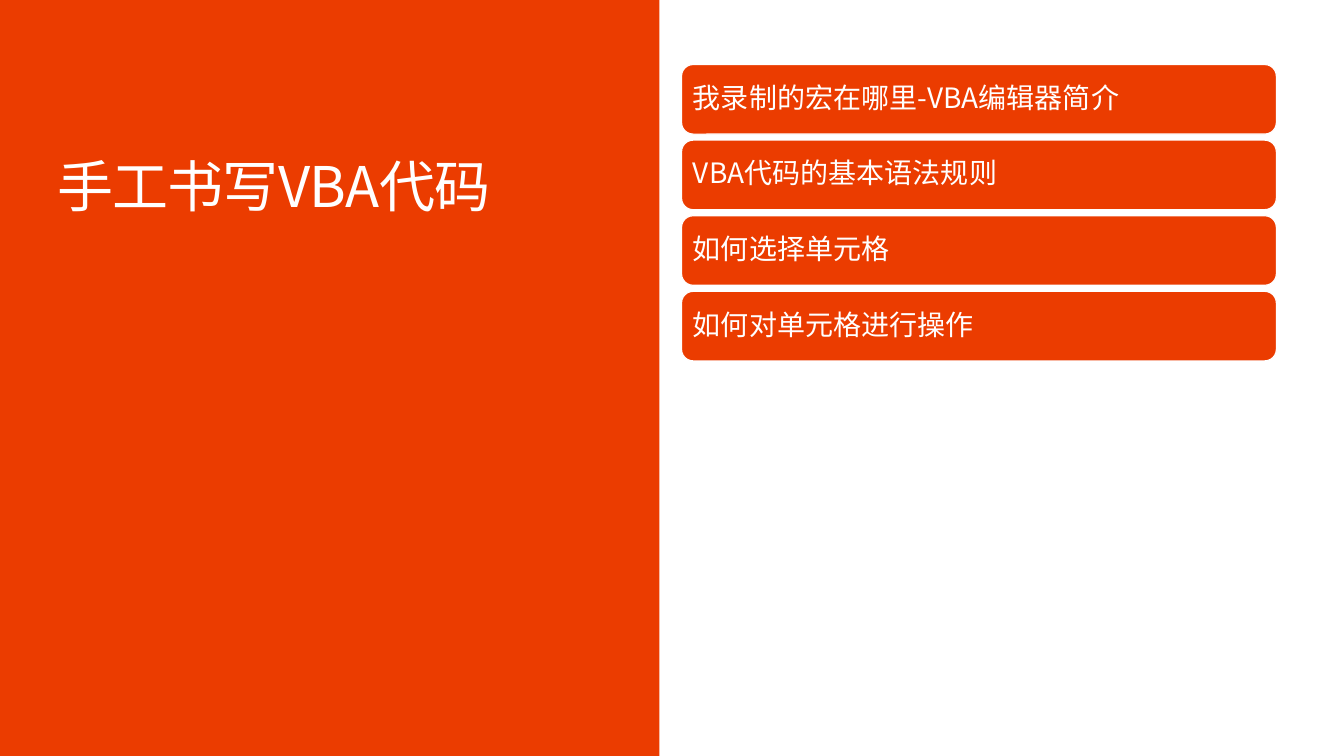
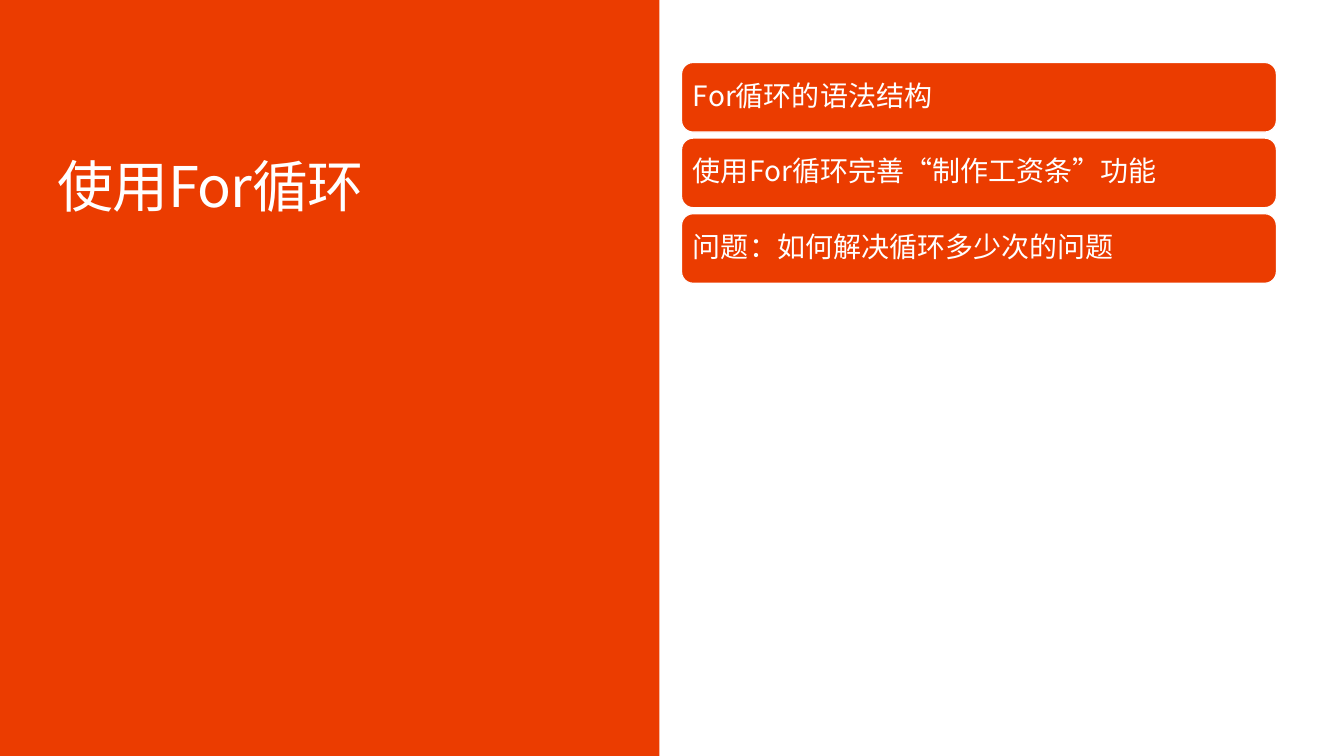
import pptx
import pptx.util
import pptx.dml.color
import pptx.enum.lang
import pptx.enum.shapes
import pptx.enum.text
import pptx.oxml.ns
from dataclasses import dataclass
from lxml import etree

Inches, Pt = pptx.util.Inches, pptx.util.Pt
RGB = pptx.dml.color.RGBColor.from_string
SHAPE = pptx.enum.shapes.MSO_SHAPE
ANCHOR = pptx.enum.text.MSO_ANCHOR

# Content: title, top of the first bar, bar texts
SLIDES = [
    ("手工书写VBA代码", 0.64, [
        "我录制的宏在哪里-VBA编辑器简介",
        "VBA代码的基本语法规则",
        "如何选择单元格",
        "如何对单元格进行操作",
    ]),
    ("使用For循环", 0.62, [
        "For循环的语法结构",
        "使用For循环完善“制作工资条”功能",
        "问题：如何解决循环多少次的问题",
    ]),
]


@dataclass(frozen=True)
class Theme:
    accent: str = "EB3C00"
    white: str = "FFFFFF"
    font: str = "Noto Sans CJK SC"
    title_size: int = 40
    bar_size: int = 20
    line_width: float = 0.85


THEME = Theme()

# Layout in inches
PANEL = (-0.01, 0, 6.55, 7.5)
TITLE = (0.57, 1.58, 5.72, 1.82)
BAR_LEFT, BAR_WIDTH, BAR_HEIGHT, BAR_STEP = 6.76, 5.9, 0.69, 0.75
BAR_INSET = 0.08


def write(shape, text, size, inset, anchor, spacing=None):
    """Fill a shape with one left-aligned white line of text."""
    tf = shape.text_frame
    tf.word_wrap = True
    tf.vertical_anchor = anchor
    tf.margin_left = tf.margin_right = Inches(inset)
    tf.margin_top = tf.margin_bottom = Inches(inset)
    p = tf.paragraphs[0]
    p.alignment = pptx.enum.text.PP_ALIGN.LEFT
    p.line_spacing = 0.9
    r = p.add_run()
    r.text = text
    r.font.size = Pt(size)
    r.font.name = THEME.font
    r.font.color.rgb = RGB(THEME.white)
    r.font.language_id = pptx.enum.lang.MSO_LANGUAGE_ID.SIMPLIFIED_CHINESE
    # East Asian font and letter spacing
    rpr = r._r.get_or_add_rPr()
    etree.SubElement(rpr, pptx.oxml.ns.qn("a:ea"), typeface=THEME.font)
    if spacing is not None:
        rpr.set("spc", str(spacing))


def add_block(s, kind, box):
    """Add an accent-coloured shape without line or shadow."""
    sp = s.shapes.add_shape(kind, *map(Inches, box))
    sp.shadow.inherit = False
    sp.fill.solid()
    sp.fill.fore_color.rgb = RGB(THEME.accent)
    sp.line.fill.background()
    return sp


def add_bar(s, text, top):
    sp = add_block(s, SHAPE.ROUNDED_RECTANGLE,
                   (BAR_LEFT, top, BAR_WIDTH, BAR_HEIGHT))
    sp.line.color.rgb = RGB(THEME.white)
    sp.line.width = Pt(THEME.line_width)
    write(sp, text, THEME.bar_size, BAR_INSET, ANCHOR.MIDDLE)


def add_section(prs, title, first_top, bars):
    s = prs.slides.add_slide(prs.slide_layouts[6])
    # Left panel and title
    add_block(s, SHAPE.RECTANGLE, PANEL)
    title_box = s.shapes.add_textbox(*map(Inches, TITLE))
    write(title_box, title, THEME.title_size, 0, ANCHOR.TOP, spacing=-70)
    # Topic bars
    for i, text in enumerate(bars):
        add_bar(s, text, first_top + i * BAR_STEP)


prs = pptx.Presentation()
prs.slide_width, prs.slide_height = Inches(13.33), Inches(7.5)
for section in SLIDES:
    add_section(prs, *section)
prs.save("out.pptx")
